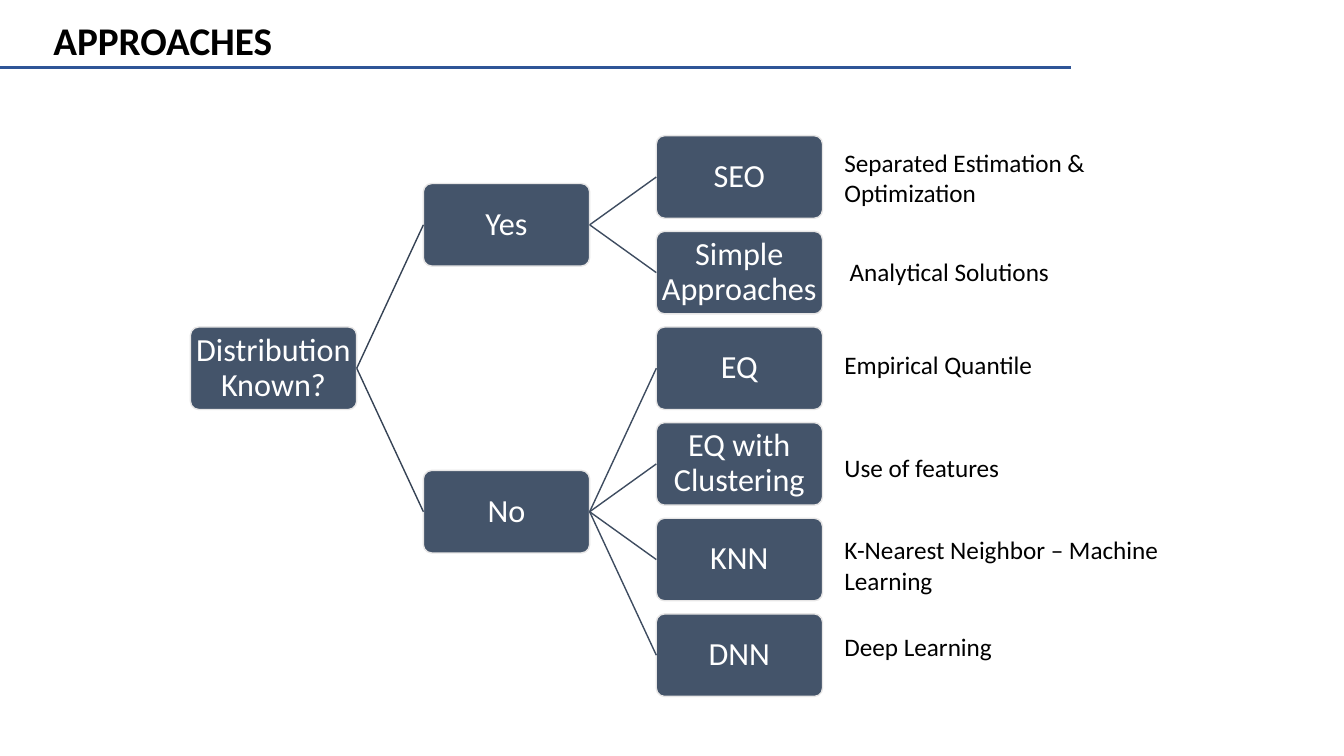
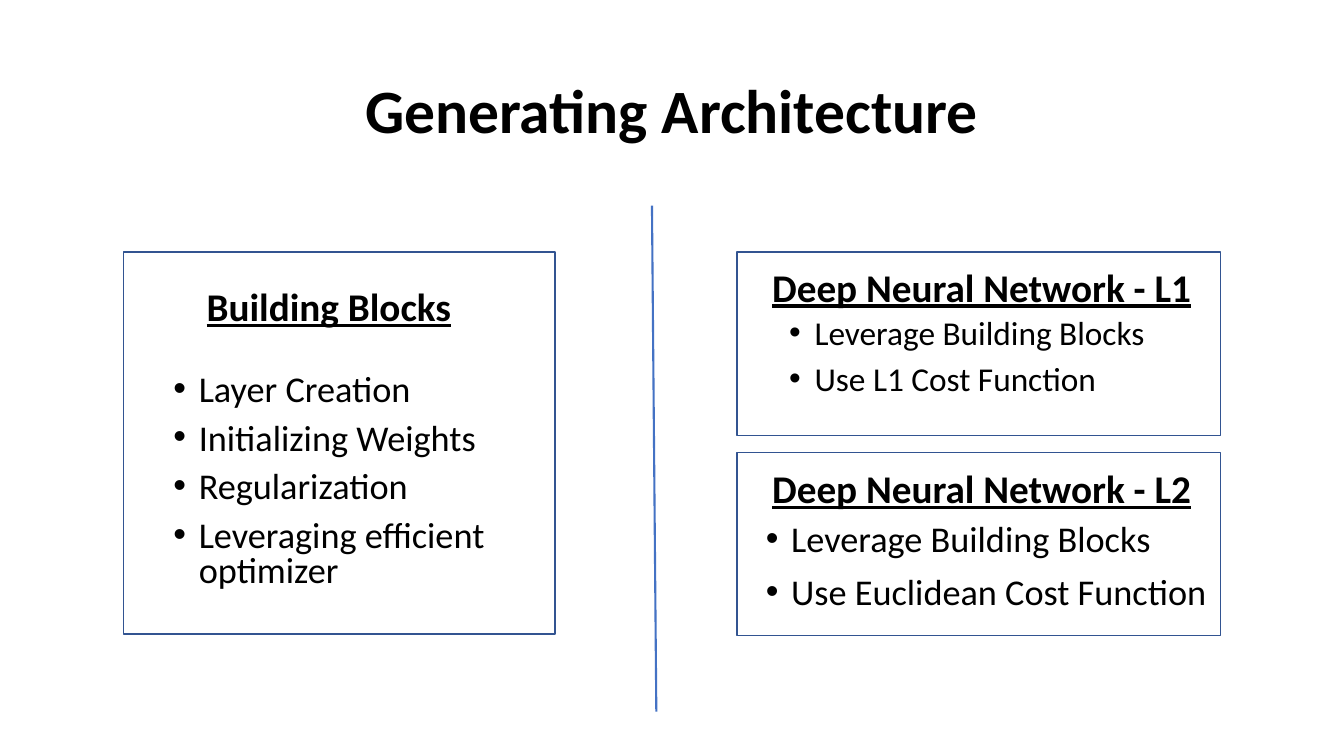
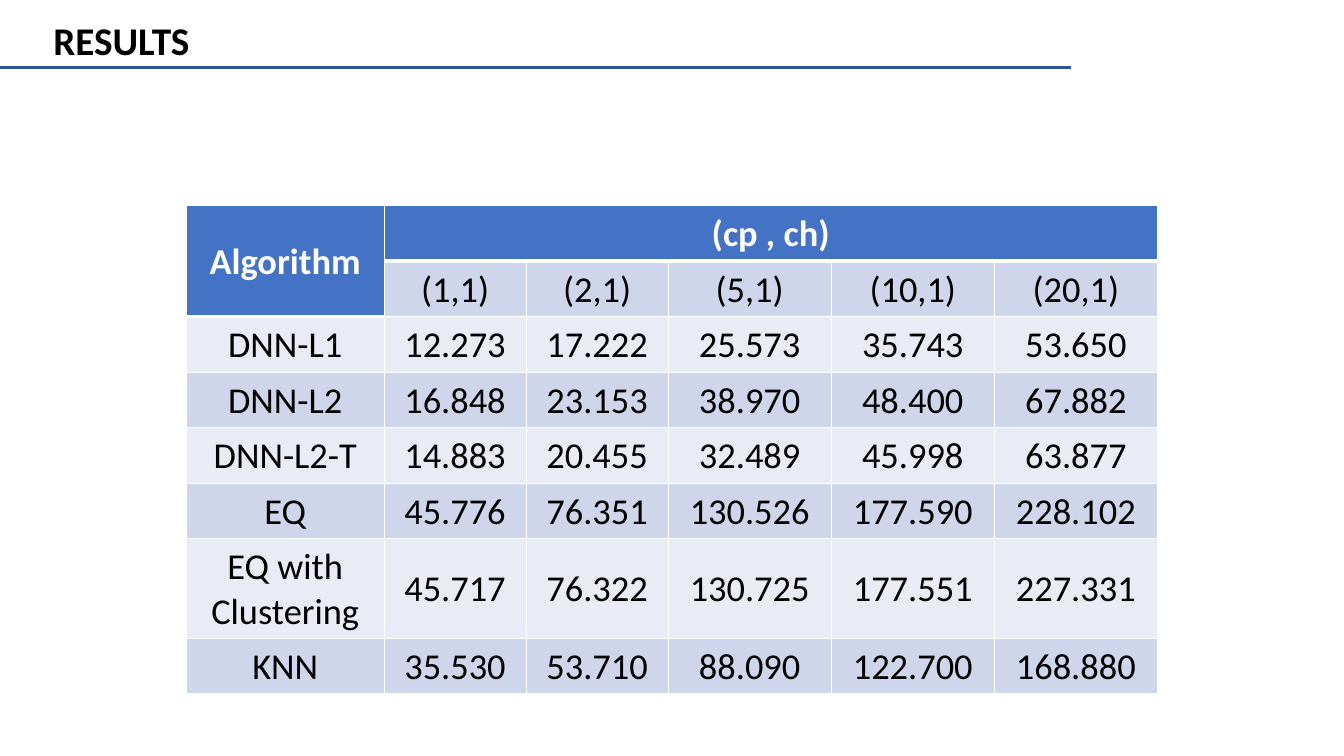
from lxml.etree import SubElement
from pptx import Presentation
from pptx.dml.color import RGBColor
from pptx.enum.shapes import MSO_CONNECTOR as Link, MSO_SHAPE as Form
from pptx.enum.text import MSO_ANCHOR as Anchor, MSO_AUTO_SIZE as Fit, PP_ALIGN as Align
from pptx.oxml.ns import qn
from pptx.util import Cm, Pt

BLACK, WHITE = "000000", "FFFFFF"
BLUE, RULE, FRAME = "4472C4", "2F5597", "325491"
SLATE, PALE = "44546A", "E7E6E6"
STEMS = "364355", "3E4C60"
BANDS = "CFD5EA", "E9EBF5"
LEFT, RIGHT = 1, 3  # connection sites of a box


def tint(code):
    return RGBColor.from_string(code)


def cms(*nums):
    return [Cm(n) for n in nums]


def mean(nums):
    return sum(nums) / len(nums)


class Deck:
    font = "Calibri"

    def __init__(self):
        self.prs = Presentation()
        self.prs.slide_width, self.prs.slide_height = cms(33.87, 19.05)

    def style(self, frame, size, color=BLACK, bold=False, line=False,
              align=Align.LEFT, gap=1.0, before=0, after=0):
        """Format every paragraph and run of a text frame."""
        for par in frame.paragraphs:
            par.alignment, par.line_spacing = align, gap
            par.space_before, par.space_after = Pt(before), Pt(after)
            for run in par.runs:
                font = run.font
                font.name, font.size = self.font, Pt(size)
                font.bold, font.underline = bold, line
                font.color.rgb = tint(color)

    def page(self, title, at, anchor, **look):
        self.slide = self.prs.slides.add_slide(self.prs.slide_layouts[5])
        self.shapes = self.slide.shapes
        head = self.shapes.title
        head.left, head.top, head.width, head.height = cms(*at)
        frame = head.text_frame
        frame.text = title
        frame.auto_size, frame.vertical_anchor = Fit.NONE, anchor
        self.style(frame, bold=True, **look)

    def topic(self, title):
        """Start a slide with a small title over a blue rule."""
        self.page(title, (1.09, 0.28, 15.32, 1.45), Anchor.TOP,
                  size=28, before=3, after=3)
        self.line((0, 1.7), (26.98, 1.7), RULE, 2.25)

    def line(self, start, end, color, width):
        wire = self.shapes.add_connector(Link.STRAIGHT, *cms(*start, *end))
        wire.line.color.rgb, wire.line.width = tint(color), Pt(width)
        SubElement(wire._element.spPr, qn("a:effectLst"))
        return wire

    def join(self, start, end, color):
        wire = self.line((0, 0), (1, 1), color, 1)
        wire.begin_connect(start, RIGHT)
        wire.end_connect(end, LEFT)

    def box(self, at, form=Form.RECTANGLE, edge=FRAME, fill=None):
        shape = self.shapes.add_shape(form, *cms(*at))
        shape.shadow.inherit = False
        shape.line.color.rgb, shape.line.width = tint(edge), Pt(1)
        if fill:
            shape.fill.solid()
            shape.fill.fore_color.rgb = tint(fill)
        else:
            shape.fill.background()
        return shape

    def node(self, text, x, y, wide, high):
        shape = self.box((x, y, wide, high), Form.ROUNDED_RECTANGLE, PALE, SLATE)
        shape.adjustments[0] = 0.1
        frame = shape.text_frame
        frame.text, frame.word_wrap = text, True
        frame.vertical_anchor = Anchor.MIDDLE
        frame.margin_left = frame.margin_right = Cm(0.03)
        frame.margin_top = frame.margin_bottom = Cm(0.03)
        self.style(frame, 23, WHITE, align=Align.CENTER, gap=0.9)
        return shape

    def text(self, text, at, size, **look):
        frame = self.shapes.add_textbox(*cms(*at)).text_frame
        frame.text, frame.word_wrap = text, True
        self.style(frame, size, **look)
        return frame

    def list(self, items, at, size, gap):
        frame = self.text("\n".join(items), at, size, gap=gap, before=10)
        for par in frame.paragraphs:
            props = par._p.get_or_add_pPr()
            props.set("marL", str(Cm(0.64)))
            props.set("indent", str(-Cm(0.64)))
            SubElement(props, qn("a:buFont"), typeface="Arial")
            SubElement(props, qn("a:buChar"), char="•")

    def cell(self, cell, text, fill, color, bold, base):
        """Fill one table cell; base is the width of its lower border."""
        props = cell._tc.get_or_add_tcPr()
        for side, width in zip("LRTB", (1, 1, 1, base)):
            edge = SubElement(props, qn("a:ln" + side), w=str(Pt(width)))
            paint = SubElement(edge, qn("a:solidFill"))
            SubElement(paint, qn("a:srgbClr"), val=WHITE)
        cell.fill.solid()
        cell.fill.fore_color.rgb = tint(fill)
        cell.vertical_anchor = Anchor.MIDDLE
        cell.margin_left, cell.margin_right = cms(0.05, 0.05)
        cell.margin_top, cell.margin_bottom = cms(0.05, 0)
        cell.text_frame.text = text
        self.style(cell.text_frame, 26, color, bold, align=Align.CENTER)

    def table(self, rows, at, cols, highs, spans):
        size = cms(sum(cols), sum(highs))
        grid = self.shapes.add_table(len(rows), len(cols), *cms(*at), *size).table
        grid.first_row = grid.horz_banding = False
        for col, wide in zip(grid.columns, cols):
            col.width = Cm(wide)
        for r, (row, high) in enumerate(zip(rows, highs)):
            grid.rows[r].height = Cm(high)
            for c, text in enumerate(row):
                head = r == 0 or (r, c) == (1, 0)
                look = (BLUE, WHITE, True, 3) if head else (BANDS[(r + 1) % 2], BLACK, False, 1)
                self.cell(grid.cell(r, c), text, *look)
        for first, last in spans:
            grid.cell(*first).merge(grid.cell(*last))


def approaches(deck):
    deck.topic("APPROACHES")
    wide, high, left, top = 4.19, 2.08, 4.8, 3.42
    step, pitch = 5.87, 2.41
    tree = {"Yes": ["SEO", "Simple Approaches"],
            "No": ["EQ", "EQ with Clustering", "KNN", "DNN"]}
    spots, mids, row = [], [], 0
    for name, leaves in tree.items():
        tops = [top + pitch * (row + i) for i in range(len(leaves))]
        row += len(leaves)
        mids.append(mean(tops))
        spots.append((name, leaves, tops))
    root = deck.node("Distribution Known?", left, mean(mids), wide, high)
    for (name, leaves, tops), mid in zip(spots, mids):
        branch = deck.node(name, left + step, mid, wide, high)
        deck.join(root, branch, STEMS[0])
        for leaf, y in zip(leaves, tops):
            end = deck.node(leaf, left + 2 * step, y, wide, high)
            deck.join(branch, end, STEMS[1])

    notes = [("Separated Estimation & Optimization", 21.03, 3.58, 7.62),
             ("Analytical Solutions", 21.16, 6.33, 7.62),
             ("Empirical Quantile", 21.03, 8.67, 5.36),
             ("Use of features", 21.03, 11.27, 5.36),
             ("K-Nearest Neighbor – Machine Learning", 21.03, 13.35, 9.78),
             ("Deep Learning", 21.03, 15.79, 9.78)]
    for text, x, y, span in notes:
        deck.text(text, (x, y, span, 1.02), 18)


def design(deck):
    deck.page("Generating Architecture", (2.33, 1.02, 29.21, 3.68), Anchor.MIDDLE,
              size=44, align=Align.CENTER, gap=0.9)
    deck.line((16.43, 5.18), (16.54, 17.93), BLUE, 1.5)
    # frame, heading corner, heading, list frame, size, line spacing, items
    panels = [
        ((3.12, 6.35, 10.87, 9.63), (4.96, 6.99), "Building Blocks",
         (4.12, 9.31, 9.19, 6.02), 25.9, 0.8,
         ["Layer Creation", "Initializing Weights", "Regularization",
          "Leveraging efficient optimizer"]),
        ((18.57, 6.35, 12.19, 4.62), (19.21, 6.5), "Deep Neural Network - L1",
         (19.64, 7.93, 10.03, 2.74), 23.8, 0.8,
         ["Leverage Building Blocks", "Use L1 Cost Function"]),
        ((18.57, 11.4, 12.19, 4.62), (19.21, 11.58), "Deep Neural Network - L2",
         (19.05, 13, 12.19, 2.97), 25.9, 0.9,
         ["Leverage Building Blocks", "Use Euclidean Cost Function"]),
    ]
    for frame, corner, head, place, size, gap, items in panels:
        deck.box(frame)
        deck.text(head, (*corner, 11.53, 1.45), 28, bold=True, line=True)
        deck.list(items, place, size, gap)


def results(deck):
    deck.topic("RESULTS")
    rows = [
        ["Algorithm", "(cp , ch)", "", "", "", ""],
        ["", "(1,1)", "(2,1)", "(5,1)", "(10,1)", "(20,1)"],
        ["DNN-L1", "12.273", "17.222", "25.573", "35.743", "53.650"],
        ["DNN-L2", "16.848", "23.153", "38.970", "48.400", "67.882"],
        ["DNN-L2-T", "14.883", "20.455", "32.489", "45.998", "63.877"],
        ["EQ", "45.776", "76.351", "130.526", "177.590", "228.102"],
        ["EQ with Clustering", "45.717", "76.322", "130.725", "177.551", "227.331"],
        ["KNN", "35.530", "53.710", "88.090", "122.700", "168.880"],
    ]
    deck.table(rows, (4.7, 5.18), [4.98] + [3.58] * 2 + [4.11] * 3,
               [1.4] * 6 + [2.51, 1.4],
               [((0, 0), (1, 0)), ((0, 1), (0, 5))])


def main():
    deck = Deck()
    for build in (approaches, design, results):
        build(deck)
    deck.prs.save("out.pptx")


if __name__ == "__main__":
    main()
